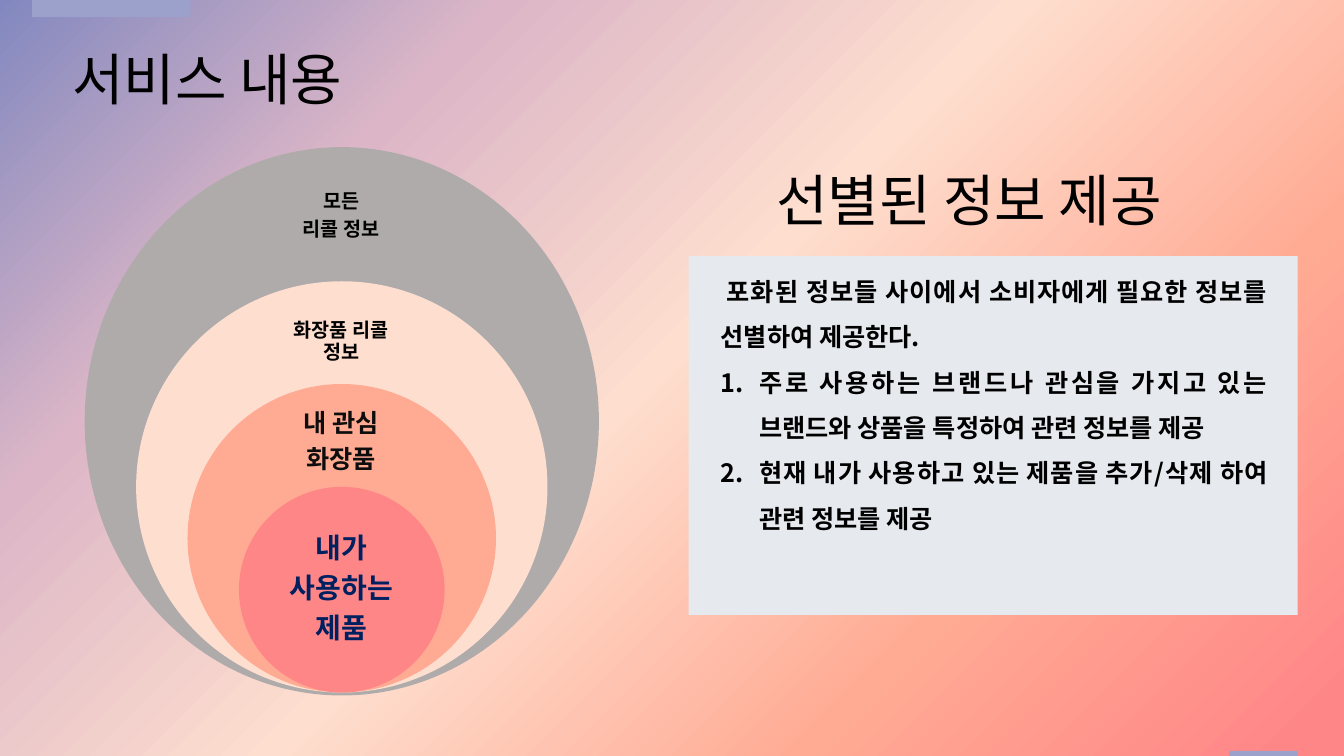
"""Build a slide of nested circles beside a panel on selected information."""
import lxml.etree
import pptx
import pptx.dml.color
import pptx.enum.shapes
import pptx.enum.text
import pptx.oxml
import pptx.oxml.ns
import pptx.util

Inches = pptx.util.Inches
Kind = pptx.enum.shapes.MSO_SHAPE
Align = pptx.enum.text.PP_ALIGN
Fit = pptx.enum.text.MSO_AUTO_SIZE
qn = pptx.oxml.ns.qn
FONT = "Noto Sans CJK KR"

deck = pptx.Presentation()
deck.slide_width, deck.slide_height = Inches(13.33), Inches(7.5)
slide = deck.slides.add_slide(deck.slide_layouts[6])


def paint(target, color):
    if hasattr(target, "solid"):
        target.solid()
        target = target.fore_color
    target.rgb = pptx.dml.color.RGBColor.from_string(color)


def write(box, lines, size, color, bold=False, align=None, space=None, after=None, number=False):
    frame = box.text_frame
    for i, line in enumerate(lines):
        para = frame.paragraphs[0] if i == 0 else frame.add_paragraph()
        para.text = line
        para.alignment = align
        para.line_spacing = space
        props = para._p.get_or_add_pPr()
        if after:
            gap = lxml.etree.SubElement(props, qn("a:spcAft"))
            lxml.etree.SubElement(gap, qn("a:spcPct"), val=str(after * 1000))
        if number and i:
            props.set("marL", str(Inches(0.38)))
            props.set("indent", str(Inches(-0.38)))
            lxml.etree.SubElement(props, qn("a:buFont"), typeface="+mj-lt")
            lxml.etree.SubElement(props, qn("a:buAutoNum"), type="arabicPeriod")
        elif number:
            props.set("indent", str(Inches(0.06)))
        font = para.font
        font.size, font.bold, font.name = pptx.util.Pt(size), bold, FONT
        paint(font.color, color)
        lxml.etree.SubElement(props.find(qn("a:defRPr")), qn("a:ea"), typeface=FONT)


back = slide.background.fill
back.gradient()
back.gradient_angle = 315
stops = slide._element.find(".//" + qn("a:gsLst"))
for stop in list(stops):
    stops.remove(stop)
for place, color in [(0, "8288BF"), (24, "DCB6C7"), (49, "FEDECE"), (74, "FFAB94"), (97, "FF8687")]:
    stop = lxml.etree.SubElement(stops, qn("a:gs"), pos=str(place * 1000))
    lxml.etree.SubElement(stop, qn("a:srgbClr"), val=color)

mid, base, step = 3.39, 6.87, 1.02
plain = [
    (Kind.RECTANGLE, 6.83, 2.54, 6.04, 3.56, "E6EAEF"),
    (Kind.RECTANGLE, 0.32, 0, 1.57, 0.17, "9CA1CC"),
    (Kind.RECTANGLE, 12.19, 7.45, 0.68, 0.05, "9CA1CC"),
    (Kind.OVAL, mid - 2.5 * step, 1.46, 5 * step, 5.44, "AFABAB"),
]
for count, color in [(4, "FEDECE"), (3, "FFAB94"), (2, "FF8687")]:
    wide = count * step
    plain.append((Kind.OVAL, mid - wide / 2, base - wide, wide, wide, color))
for kind, left, top, wide, high, color in plain:
    shape = slide.shapes.add_shape(kind, Inches(left), Inches(top), Inches(wide), Inches(high))
    shape.shadow.inherit = False
    paint(shape.fill, color)
    shape.line.fill.background()

labels = [
    (1.73, 0.82, 0.11, ["모든", "리콜 정보"], 14, "000000"),
    (3.03, 0.73, 0.11, ["화장품 리콜 정보"], 14, "000000"),
    (4.04, 0.69, 0.14, ["내 관심", "화장품"], 18, "0D0D0D"),
    (5.34, 1.02, 0.16, ["내가", "사용하는", "제품"], 20, "002060"),
]
for top, high, inset, lines, size, color in labels:
    box = slide.shapes.add_textbox(Inches(2.67), Inches(top), Inches(1.43), Inches(high))
    frame = box.text_frame
    frame.word_wrap = True
    frame.vertical_anchor = pptx.enum.text.MSO_ANCHOR.MIDDLE
    frame.margin_left = frame.margin_right = Inches(inset)
    frame.margin_top = frame.margin_bottom = Inches(inset)
    write(box, lines, size, color, True, Align.CENTER, 0.9, 35)

for left, top, wide, title in [(7.6, 1.59, 4.5, "선별된 정보 제공"), (0.62, 0.39, 3.19, "서비스 내용")]:
    box = slide.shapes.add_textbox(Inches(left), Inches(top), Inches(wide), Inches(0.77))
    box.text_frame.word_wrap = False
    box.text_frame.auto_size = Fit.SHAPE_TO_FIT_TEXT
    write(box, [title], 40, "000000")

body = slide.shapes.add_textbox(Inches(7.05), Inches(2.54), Inches(5.62), Inches(3.28))
body.text_frame.word_wrap = True
body.text_frame.auto_size = Fit.SHAPE_TO_FIT_TEXT
points = [
    "포화된 정보들 사이에서 소비자에게 필요한 정보를 선별하여 제공한다.",
    "주로 사용하는 브랜드나 관심을 가지고 있는 브랜드와 상품을 특정하여 관련 정보를 제공",
    "현재 내가 사용하고 있는 제품을 추가/삭제 하여 관련 정보를 제공",
]
write(body, points, 18, "000000", True, Align.JUSTIFY, 1.5, number=True)

deck.save("out.pptx")
